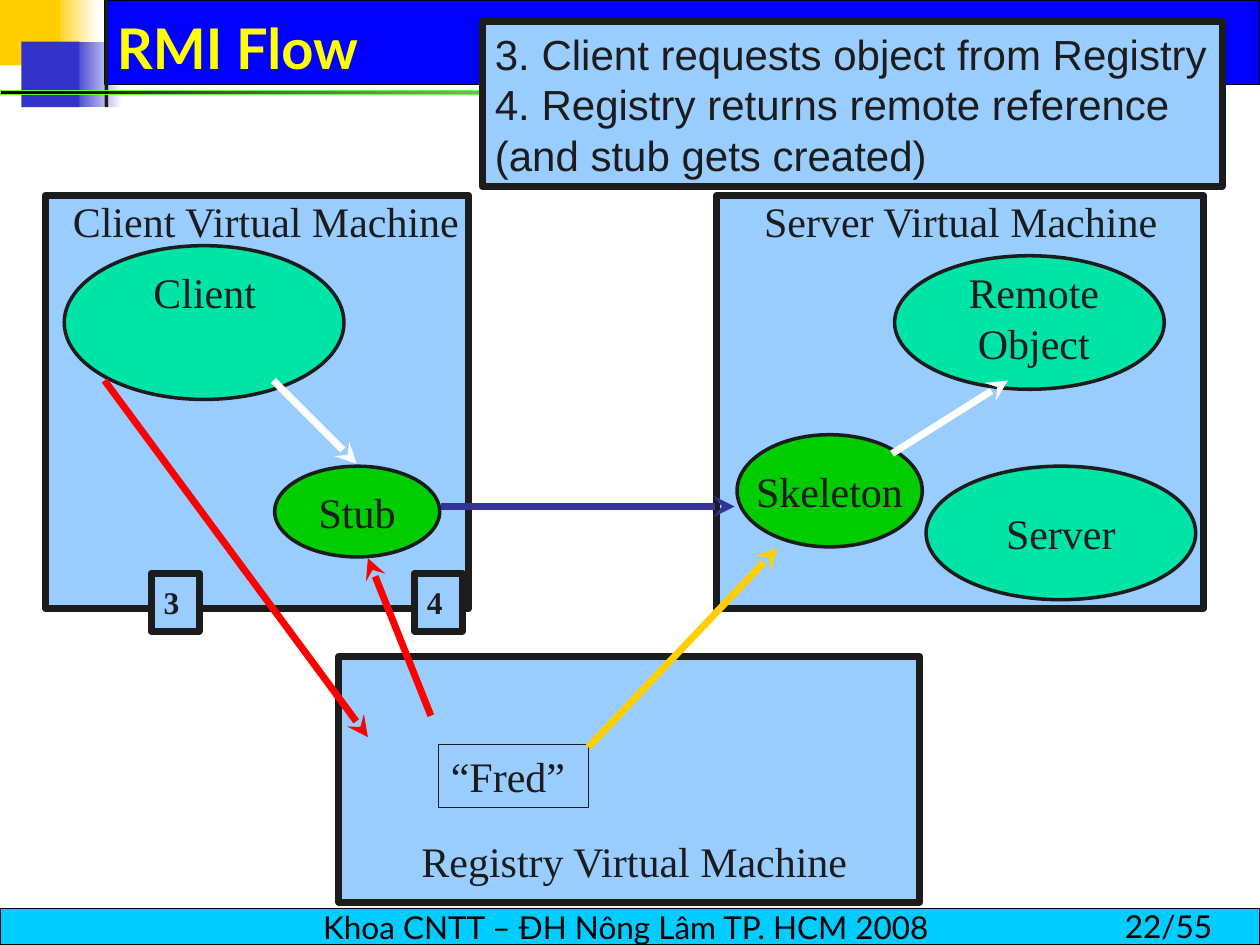
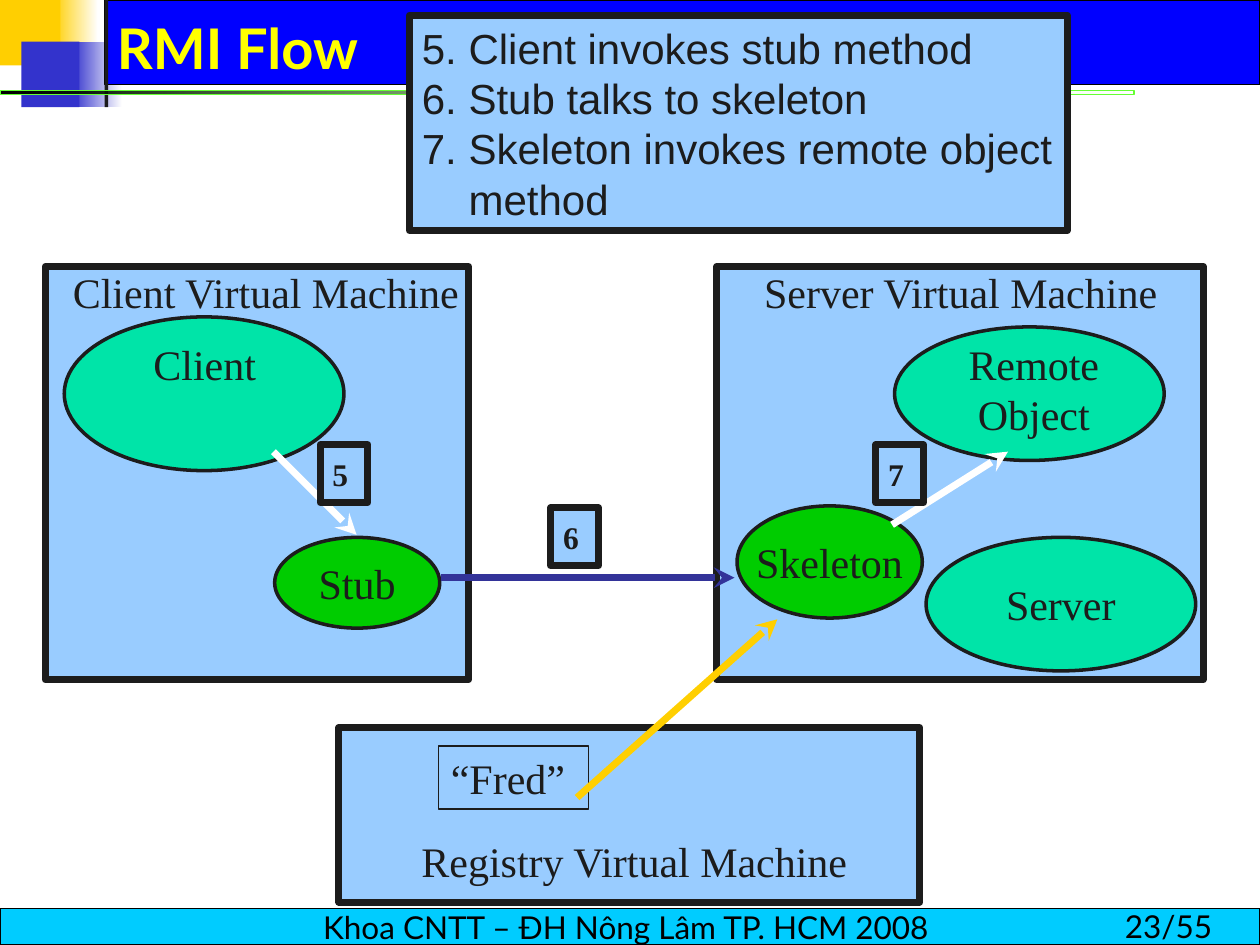
from lxml.etree import SubElement
from pptx import Presentation
from pptx.dml.color import RGBColor
from pptx.enum.shapes import MSO_CONNECTOR, MSO_SHAPE
from pptx.enum.text import MSO_ANCHOR, PP_ALIGN
from pptx.oxml.ns import qn
from pptx.util import Inches, Pt

deck = Presentation()
deck.slide_width, deck.slide_height = Inches(10), Inches(7.5)
COL, ROW = deck.slide_width / 100, deck.slide_height / 75  # grid of 100 columns by 75 rows

INK, BLACK, WHITE = "1C1C1C", "000000", "FFFFFF"
SKY, MINT, GREEN, RED = "99CCFF", "00E4A8", "00CC00", "FF0000"
GOLD, INDIGO, NAVY, LIME = "FFCF01", "3333CC", "333399", "66FF33"
CENTER, LEFT = PP_ALIGN.CENTER, PP_ALIGN.LEFT
MIDDLE, TOP = MSO_ANCHOR.MIDDLE, MSO_ANCHOR.TOP
OVAL, RECT = MSO_SHAPE.OVAL, MSO_SHAPE.RECTANGLE
rgb = RGBColor.from_string

# Text formats
LABEL = {"name": "Times New Roman", "size": Pt(24), "bold": False}
BADGE = {"name": "Times New Roman", "size": Pt(18), "bold": True}
NOTE = {"name": "Arial", "size": Pt(24), "bold": False}
FOOTER = {"name": "Lato", "size": Pt(18), "bold": False}
TITLE = {"name": "Lato", "size": Pt(32), "bold": True}


def box(slide, at, fill=None, line=None, weight=4, kind=RECT, lines=(), font=LABEL,
        color=INK, align=CENTER, anchor=MIDDLE, wrap=False):
    """Place a shape, or a plain text box when it has neither fill nor line."""
    left, top, width, height = at
    place = [round(n) for n in (left * COL, top * ROW, width * COL, height * ROW)]
    if fill or line:
        item = slide.shapes.add_shape(kind, *place)
        item.shadow.inherit = False
        if isinstance(fill, tuple):
            item.fill.gradient()
            item.fill.gradient_angle = 180
            for stop, tone in zip(item.fill.gradient_stops, fill):
                stop.color.rgb = rgb(tone)
        elif fill:
            item.fill.solid()
            item.fill.fore_color.rgb = rgb(fill)
        else:
            item.fill.background()
        if line:
            item.line.color.rgb = rgb(line)
            item.line.width = Pt(weight)
        else:
            item.line.fill.background()
    else:
        item = slide.shapes.add_textbox(*place)
    frame = item.text_frame
    frame.word_wrap, frame.vertical_anchor = wrap, anchor
    for number, words in enumerate(lines):
        paragraph = frame.add_paragraph() if number else frame.paragraphs[0]
        paragraph.alignment = align
        run = paragraph.add_run()
        run.text = words
        run.font.color.rgb = rgb(color)
        for name, value in font.items():
            setattr(run.font, name, value)
    return item


def arrow(slide, start, tip, color):
    ends = [round(n) for x, y in (start, tip) for n in (x * COL, y * ROW)]
    link = slide.shapes.add_connector(MSO_CONNECTOR.STRAIGHT, *ends)
    link.line.color.rgb = rgb(color)
    link.line.width = Pt(4)
    SubElement(link.line._get_or_add_ln(), qn("a:tailEnd"), type="stealth")
    SubElement(link._element.spPr, qn("a:effectLst"))


# What differs between the steps of the flow; drop moves the diagram down
steps = [
    {"page": "22/55", "drop": 0, "lookup": (46.7, 59.3), "fred": 59.1,
     "arrows": [((34.2, 56.8), (29.2, 44.3)), ((8.3, 30.2), (29.2, 58.5))],
     "badges": {"4": (32.9, 45.5), "3": (12, 45.5)},
     "note_at": (38.3, 1.7, 58.7, 13.1),
     "note": ["3. Client requests object from Registry",
              "4. Registry returns remote reference",
              "(and stub gets created)"]},
    {"page": "23/55", "drop": 5.65, "lookup": (45.8, 63.3), "fred": 59.2,
     "arrows": [],
     "badges": {"6": (43.7, 40.3), "5": (25.4, 35.3), "7": (69.5, 35.3)},
     "note_at": (32.5, 1.2, 52.2, 17.1),
     "note": ["5. Client invokes stub method",
              "6. Stub talks to skeleton",
              "7. Skeleton invokes remote object",
              "method"]},
]

for step in steps:
    slide = deck.slides.add_slide(deck.slide_layouts[6])
    drop = step["drop"]

    # Title band with its coloured squares
    box(slide, (4.2, 0, 3.6, 5.2), (WHITE, GOLD))
    box(slide, (5.7, 3.3, 4, 5.2), (WHITE, INDIGO))
    box(slide, (8.3, 0, 91.7, 6.7), "0000FF", BLACK, 0.75)
    box(slide, (0, 0, 4.8, 5.2), GOLD)
    box(slide, (1.7, 3.3, 4.6, 5.2), INDIGO)
    box(slide, (8.3, 0, 0.3, 8.5), INK)
    rule = box(slide, (0, 7.2, 90, 0.3), (LIME, BLACK), LIME, 0)
    clear_stop = next(rule._element.spPr.iter(qn("a:srgbClr")))
    SubElement(clear_stop, qn("a:alpha"), val="0")
    box(slide, (8.3, 0.8, 89.4, 5.8), lines=["RMI Flow"], font=TITLE,
        color="FFFF00", align=LEFT)

    # Footer
    box(slide, (0, 72.1, 100, 2.9), "00CCFF", BLACK, 0.75,
        lines=["Khoa CNTT – ĐH Nông Lâm TP. HCM 2008 "], font=FOOTER, color=BLACK)
    box(slide, (88.3, 71.5, 11.7, 7.4), lines=[step["page"]], font=FOOTER,
        color=BLACK, align=LEFT, anchor=TOP)

    # Client and server machines
    box(slide, (3.6, 15.5 + drop, 33.6, 32.8), SKY, INK)
    box(slide, (4.8, 15 + drop, 32.9, 5), lines=["Client Virtual Machine"],
        align=LEFT, anchor=TOP)
    box(slide, (56.9, 15.5 + drop, 38.6, 32.8), SKY, INK)
    box(slide, (57.5, 15 + drop, 37.5, 5), lines=["Server Virtual Machine"], anchor=TOP)

    # Objects inside the machines
    for left, top, width, height, fill, words in [
            (5.1, 19.5, 22.2, 12.2, MINT, []),
            (21.8, 37, 13.1, 7.2, GREEN, ["Stub"]),
            (71, 20.3, 21.4, 10.6, MINT, []),
            (58.5, 34.5, 14.7, 8.9, GREEN, ["Skeleton"]),
            (73.5, 37, 21.4, 10.6, MINT, ["Server"])]:
        box(slide, (left, top + drop, width, height), fill, INK, 2, OVAL, words)
    for left, height, words in [(7.5, 5, "Client"), (73.3, 9, "Remote Object")]:
        box(slide, (left, 20.7 + drop, 17.5, height), lines=[words], anchor=TOP, wrap=True)

    # Registry machine
    box(slide, (26.9, 52.1 + drop, 46.1, 19.5 - drop), SKY, INK)
    box(slide, (28.2, 65.85, 44.3, 5), lines=["Registry Virtual Machine"], anchor=TOP)
    box(slide, (34.8, step["fred"], 11.9, 5), line=INK, weight=1, lines=["“Fred”"],
        align=LEFT, anchor=TOP)

    # Calls between the objects
    for start, tip, color in [((21.7, 30.2), (28.3, 36.8), WHITE),
                              ((70.8, 36), (80, 30.2), WHITE),
                              ((35, 40.2), (58.3, 40.2), NAVY)]:
        arrow(slide, (start[0], start[1] + drop), (tip[0], tip[1] + drop), color)
    arrow(slide, step["lookup"], (61.7, 43.5 + drop), GOLD)
    for start, tip in step["arrows"]:
        arrow(slide, start, tip, RED)

    # Step numbers and their explanation
    for number, (left, top) in step["badges"].items():
        box(slide, (left, top, 3.8, 4.6), SKY, INK, lines=[number], font=BADGE, align=LEFT)
    note = box(slide, step["note_at"], SKY, INK, lines=step["note"], font=NOTE, align=LEFT)
    if step["note"][-1] == "method":
        hanging = note.text_frame.paragraphs[-1]._p.get_or_add_pPr()
        hanging.set("marL", str(Inches(0.37)))

deck.save("out.pptx")
